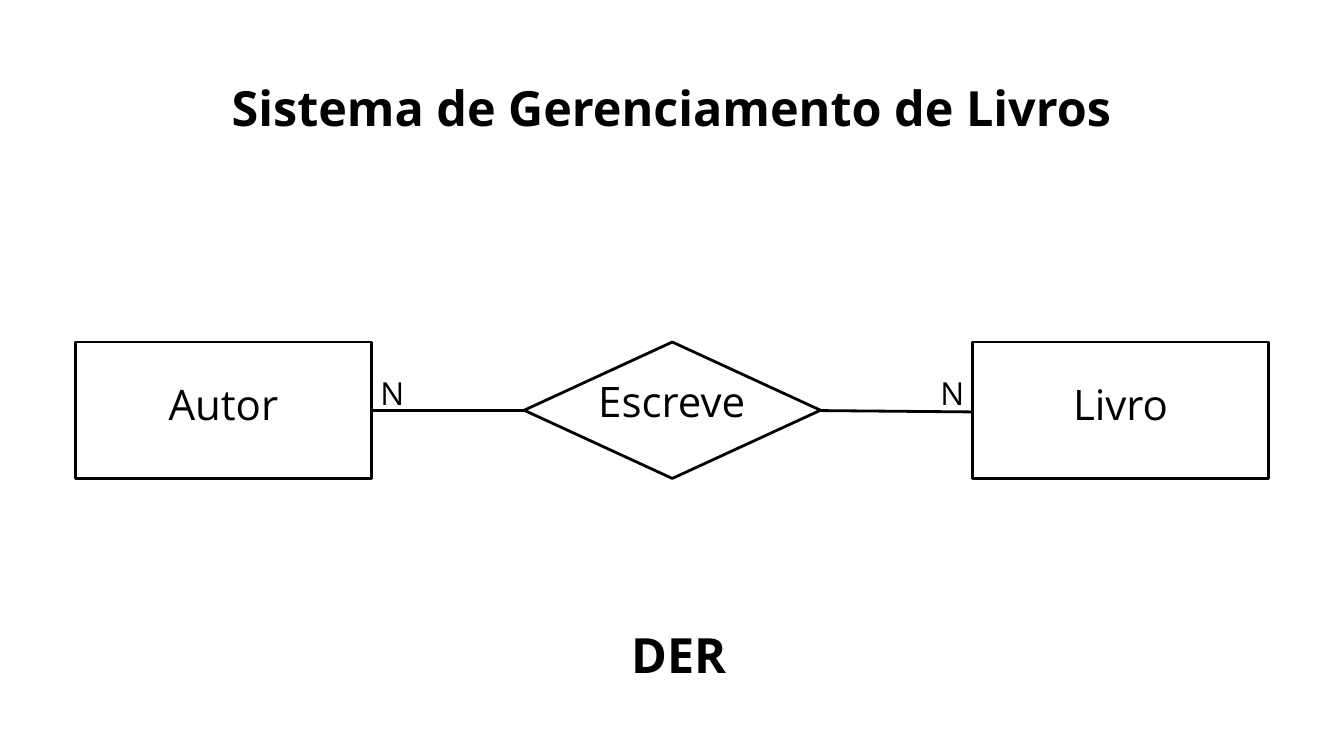
from dataclasses import dataclass

from lxml import etree
from pptx import Presentation
from pptx.dml.color import RGBColor
from pptx.enum import shapes, text
from pptx.oxml import ns
from pptx.util import Inches, Pt


@dataclass(frozen=True)
class Theme:
    font: str = "Open Sans"
    ink: RGBColor = RGBColor(0, 0, 0)
    paper: RGBColor = RGBColor(255, 255, 255)
    heading: float = 52
    label: float = 45
    cardinality: float = 34
    leading: float = 1.4
    stroke: float = 3


class Diagram:
    def __init__(self, slide, theme):
        self.slide = slide
        self.theme = theme

    def set_text(self, holder, words, size, bold=False, inset=0, anchor=text.MSO_ANCHOR.TOP):
        frame = holder.text_frame
        frame.word_wrap = False
        frame.auto_size = text.MSO_AUTO_SIZE.NONE
        frame.vertical_anchor = anchor
        frame.margin_left = frame.margin_right = Inches(inset)
        frame.margin_top = frame.margin_bottom = Inches(inset)
        line = frame.paragraphs[0]
        line.alignment = text.PP_ALIGN.CENTER
        line.line_spacing = Pt(size * self.theme.leading)
        run = line.add_run()
        run.text = words
        run.font.name = self.theme.font
        run.font.size = Pt(size)
        run.font.bold = bold
        run.font.color.rgb = self.theme.ink

    def title(self, words, box):
        heading = self.slide.shapes.title
        heading.left, heading.top, heading.width, heading.height = map(Inches, box)
        self.set_text(heading, words, self.theme.heading, bold=True)

    def caption(self, words, box, size, **style):
        self.set_text(self.slide.shapes.add_textbox(*map(Inches, box)), words, size, **style)

    def node(self, kind, words, box, label_box):
        outline = self.slide.shapes.add_shape(kind, *map(Inches, box))
        outline.shadow.inherit = False
        outline.fill.solid()
        outline.fill.fore_color.rgb = self.theme.paper
        outline.line.color.rgb = self.theme.ink
        outline.line.width = Pt(self.theme.stroke)
        self.caption(words, label_box, self.theme.label, inset=0.06,
                     anchor=text.MSO_ANCHOR.MIDDLE)

    def link(self, start, end):
        link = self.slide.shapes.add_connector(
            shapes.MSO_CONNECTOR.STRAIGHT, *map(Inches, (*start, *end)))
        link.line.color.rgb = self.theme.ink
        link.line.width = Pt(self.theme.stroke)
        etree.SubElement(link.element.spPr, ns.qn("a:effectLst"))


def main():
    deck = Presentation()
    deck.slide_width, deck.slide_height = Inches(20), Inches(11.25)
    theme = Theme()
    diagram = Diagram(deck.slides.add_slide(deck.slide_layouts[5]), theme)

    width, height, top = 4.41, 2.03, 5.09
    author_left, writes_left, book_left = 1.12, 7.8, 14.47
    middle = 6.11

    for entity, left in (("Autor", author_left), ("Livro", book_left)):
        diagram.node(shapes.MSO_SHAPE.RECTANGLE, entity,
                     (left, top, width, height), (left, 4.78, width, 2.34))
    diagram.node(shapes.MSO_SHAPE.DIAMOND, "Escreve",
                 (writes_left, top, width, height), (8.55, 5.03, 2.89, 1.74))

    diagram.link((author_left + width, middle), (writes_left, middle))
    diagram.link((writes_left + width, middle), (book_left, 6.13))
    for left in (5.66, 13.99):
        diagram.caption("N", (left, 5.47, 0.36, 0.63), theme.cardinality)

    diagram.title("Sistema de Gerenciamento de Livros", (3.43, 1.02, 13.13, 0.97))
    diagram.caption("DER", (9.29, 9.15, 1.62, 0.97), theme.heading, bold=True)
    deck.save("out.pptx")


if __name__ == "__main__":
    main()
